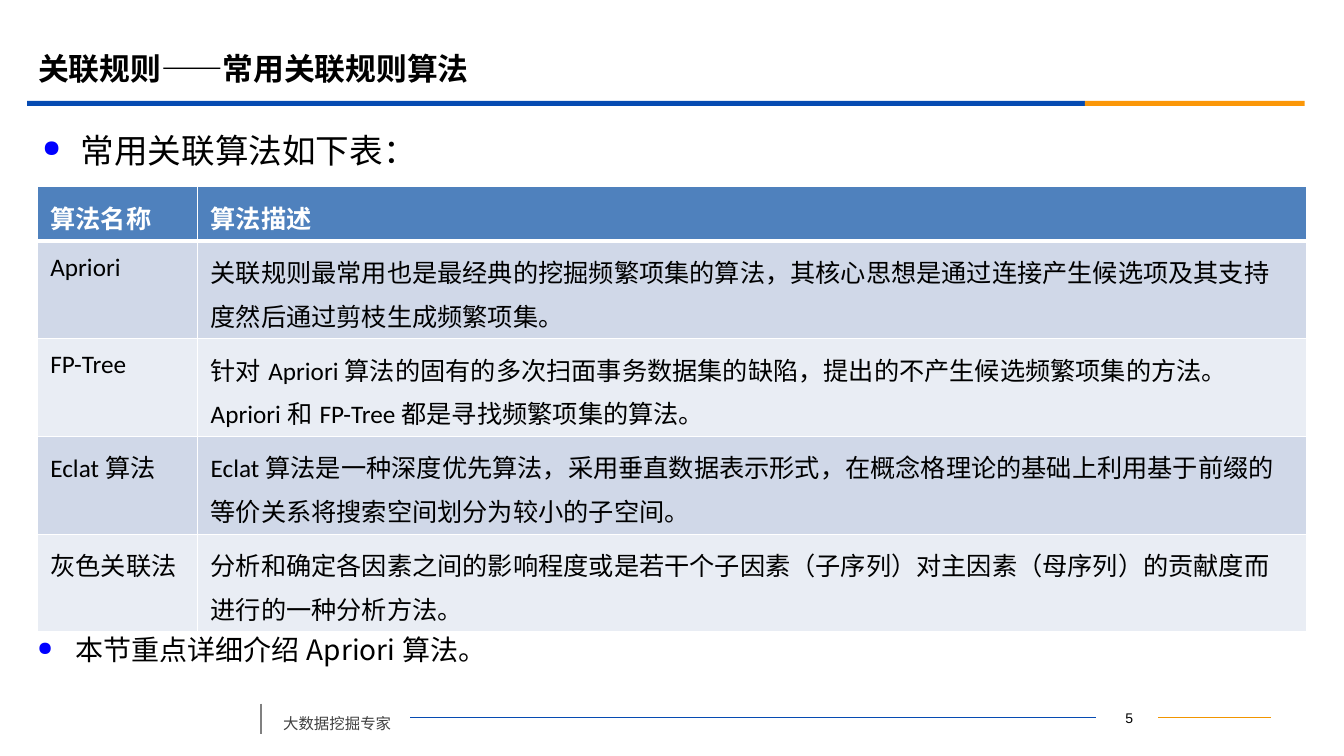
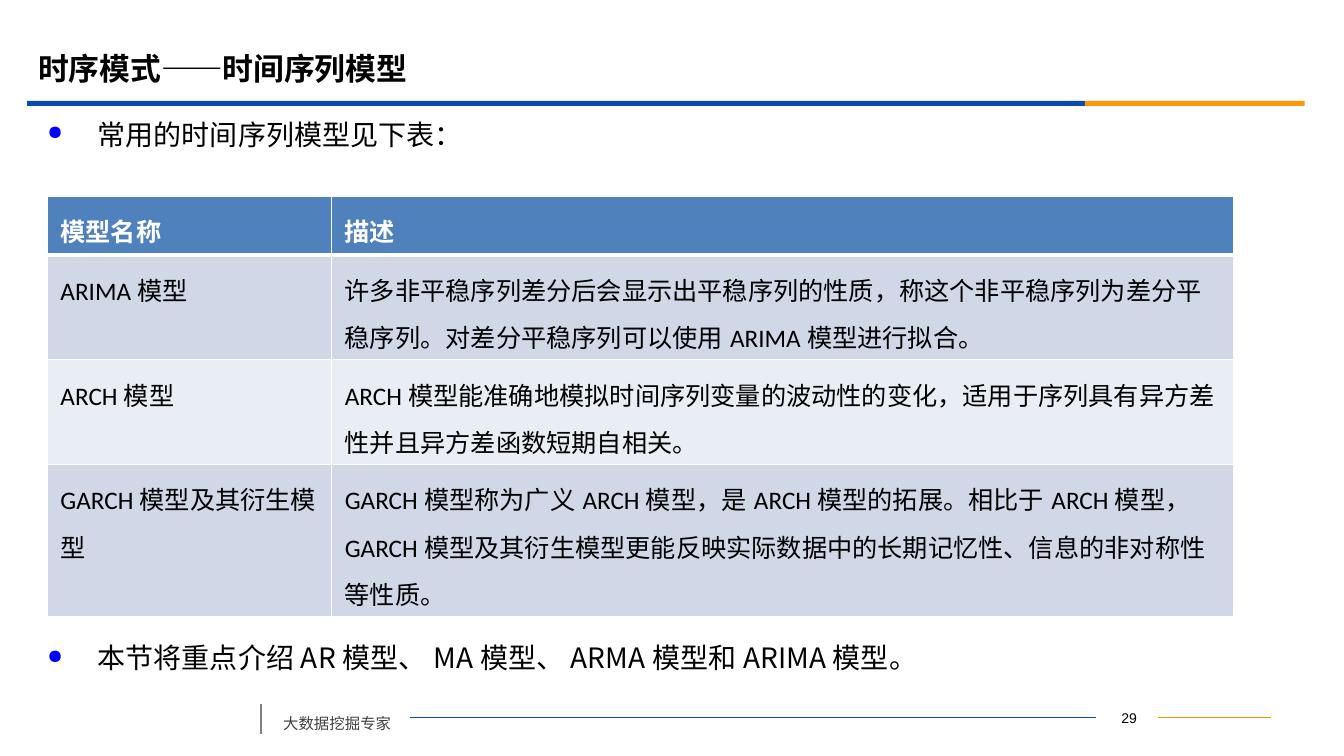
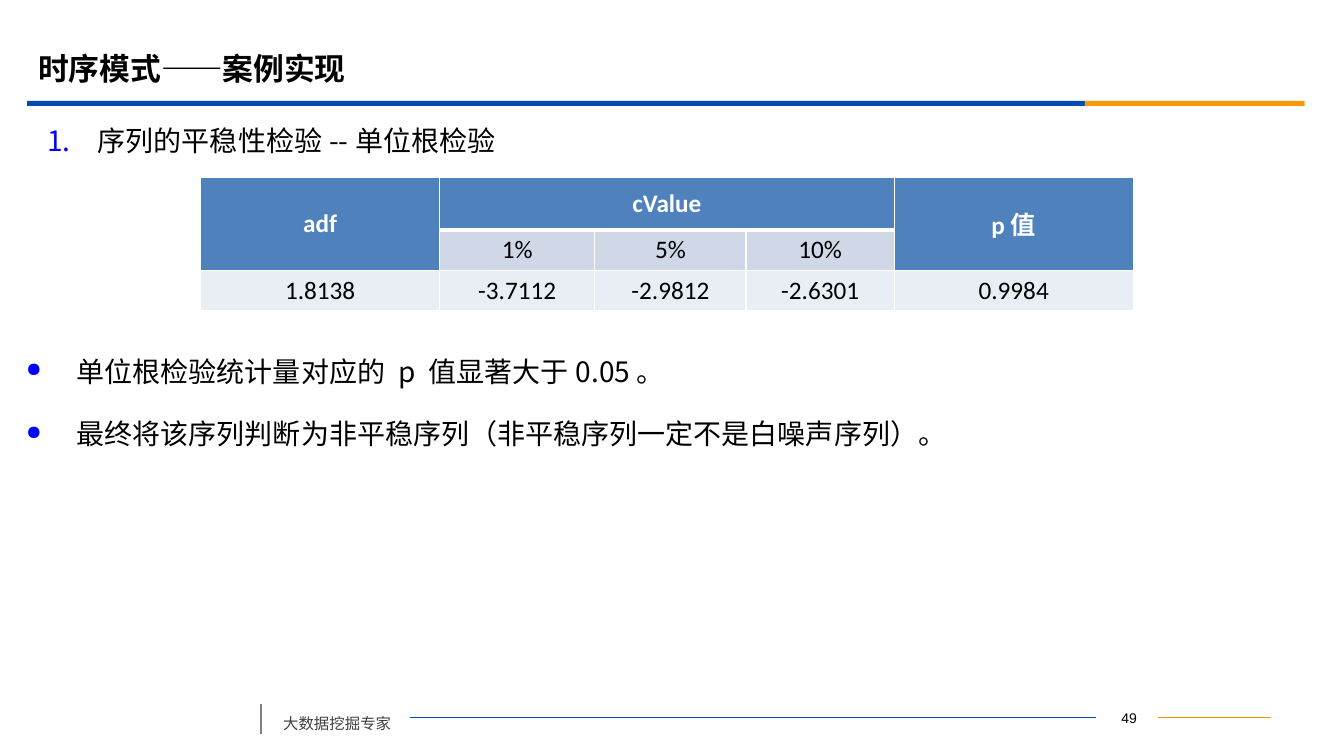
from dataclasses import dataclass

from lxml.etree import SubElement
from pptx import Presentation
from pptx.dml.color import RGBColor
from pptx.enum.shapes import MSO_CONNECTOR, MSO_SHAPE
from pptx.enum.text import MSO_ANCHOR, MSO_AUTO_SIZE, PP_ALIGN
from pptx.oxml.ns import qn
from pptx.util import Inches, Pt


@dataclass(frozen=True)
class Theme:
    """Colours, fonts and type sizes of the whole presentation."""
    black: str = "000000"
    white: str = "FFFFFF"
    blue: str = "064BB2"
    band_orange: str = "FB9708"
    line_orange: str = "F19500"
    grey: str = "808080"
    footer_text: str = "404040"
    bullet: str = "0000FF"
    header: str = "4F81BD"
    row_fills: tuple = ("E9EDF4", "D0D8E8")
    text_font: str = "Noto Sans CJK SC"
    table_font: str = "Calibri"
    number_font: str = "Arial"
    title_size: int = 22
    lead_size: int = 24
    body_size: int = 20
    table_size: int = 18
    footer_size: int = 11
    number_size: int = 10
    bullet_percent: int = 70


THEME = Theme()


# Text
def style_paragraph(paragraph, size, color=THEME.black, font=THEME.text_font,
                    bold=False, line_spacing=None, space_before=0):
    paragraph.font.size = Pt(size)
    paragraph.font.name = font
    paragraph.font.bold = bold
    paragraph.font.color.rgb = RGBColor.from_string(color)
    defaults = paragraph._p.pPr.find(qn("a:defRPr"))
    SubElement(defaults, qn("a:ea"), typeface=THEME.text_font)
    if line_spacing:
        paragraph.line_spacing = line_spacing
    if space_before:
        paragraph.space_before = Pt(space_before)


def add_bullet(paragraph, indent, numbered):
    properties = paragraph._p.get_or_add_pPr()
    properties.set("marL", str(Inches(indent)))
    properties.set("indent", str(-Inches(indent)))
    color = SubElement(properties, qn("a:buClr"))
    SubElement(color, qn("a:srgbClr"), val=THEME.bullet)
    if numbered:
        SubElement(properties, qn("a:buAutoNum"), type="arabicPeriod")
    else:
        SubElement(properties, qn("a:buSzPct"), val=str(THEME.bullet_percent * 1000))
        SubElement(properties, qn("a:buChar"), char="●")


def add_text_box(slide, left, top, width, height, margins=(0.1, 0.05)):
    box = slide.shapes.add_textbox(Inches(left), Inches(top), Inches(width), Inches(height))
    frame = box.text_frame
    frame.word_wrap = True
    frame.margin_left = frame.margin_right = Inches(margins[0])
    frame.margin_top = frame.margin_bottom = Inches(margins[1])
    return frame


def add_bullets(slide, left, top, width, height, lines, size=THEME.body_size,
                indent=0.5, line_spacing=1.5, numbered=False):
    frame = add_text_box(slide, left, top, width, height, margins=(0, 0))
    frame.auto_size = MSO_AUTO_SIZE.SHAPE_TO_FIT_TEXT
    for index, line in enumerate(lines):
        paragraph = frame.add_paragraph() if index else frame.paragraphs[0]
        paragraph.text = line
        add_bullet(paragraph, indent, numbered)
        style_paragraph(paragraph, size, line_spacing=line_spacing, space_before=0.2 * size)


# Lines and bands
def add_line(slide, start, end, color, width):
    line = slide.shapes.add_connector(MSO_CONNECTOR.STRAIGHT, *map(Inches, start + end))
    line.line.color.rgb = RGBColor.from_string(color)
    line.line.width = Pt(width)
    SubElement(line._element.spPr, qn("a:effectLst"))


def add_band(slide, left, width, color):
    band = slide.shapes.add_shape(
        MSO_SHAPE.RECTANGLE, Inches(left), Inches(1), Inches(width), Inches(0.05))
    band.shadow.inherit = False
    band.fill.solid()
    band.fill.fore_color.rgb = RGBColor.from_string(color)
    band.line.fill.background()


# Table
def set_borders(cell, top, bottom):
    properties = cell._tc.get_or_add_tcPr()
    for index, (side, width) in enumerate((("L", 1), ("R", 1), ("T", top), ("B", bottom))):
        border = SubElement(properties, qn("a:ln" + side), w=str(Pt(width)))
        fill = SubElement(border, qn("a:solidFill"))
        SubElement(fill, qn("a:srgbClr"), val=THEME.white)
        properties.insert(index, border)


def style_cell(cell, text, is_header, fill, line_spacing, centred):
    cell.fill.solid()
    cell.fill.fore_color.rgb = RGBColor.from_string(fill)
    cell.margin_left = cell.margin_right = Inches(0.13)
    cell.margin_top = cell.margin_bottom = Inches(0.05)
    paragraph = cell.text_frame.paragraphs[0]
    paragraph.text = text
    if centred:
        cell.vertical_anchor = MSO_ANCHOR.MIDDLE
        paragraph.alignment = PP_ALIGN.CENTER
    style_paragraph(paragraph, THEME.table_size, THEME.white if is_header else THEME.black,
                    THEME.table_font, is_header, line_spacing, 0.2 * THEME.table_size)


def add_data_table(slide, left, top, widths, heights, rows,
                   line_spacing=None, centred=False, merges=()):
    table = slide.shapes.add_table(
        len(rows), len(widths), Inches(left), Inches(top),
        Inches(sum(widths)), Inches(sum(heights))).table
    table.first_row = table.horz_banding = False
    for column, width in zip(table.columns, widths):
        column.width = Inches(width)
    for row, height in zip(table.rows, heights):
        row.height = Inches(height)
    for first, last in merges:
        table.cell(*first).merge(table.cell(*last))
    # Columns whose header runs into the row below have no thick rule
    tall_columns = {first[1] for first, last in merges if last[0] > first[0]}
    for row_index, texts in enumerate(rows):
        for column_index, text in enumerate(texts):
            cell = table.cell(row_index, column_index)
            tall = column_index in tall_columns
            is_header = row_index == 0 or (tall and row_index == 1)
            fill = THEME.header if is_header else THEME.row_fills[row_index % 2]
            style_cell(cell, text, is_header, fill, line_spacing, centred)
            set_borders(cell, top=3 if row_index == 1 and not tall else 1,
                        bottom=3 if row_index == 0 and not tall else 1)


# Frame shared by all slides
def add_footer(slide, number):
    number_frame = add_text_box(slide, 10.87, 6.99, 0.62, 0.25)
    paragraph = number_frame.paragraphs[0]
    paragraph.text = f" {number}"
    paragraph.alignment = PP_ALIGN.CENTER
    style_paragraph(paragraph, THEME.number_size, font=THEME.number_font)

    add_line(slide, (11.49, 7.12), (12.61, 7.12), THEME.line_orange, 0.75)
    add_line(slide, (4.07, 7.12), (10.87, 7.12), THEME.blue, 0.75)
    add_line(slide, (2.59, 6.98), (2.59, 7.28), THEME.grey, 1.25)

    footer_frame = add_text_box(slide, 2.71, 6.94, 1.36, 0.38)
    footer_frame.auto_size = MSO_AUTO_SIZE.SHAPE_TO_FIT_TEXT
    paragraph = footer_frame.paragraphs[0]
    paragraph.text = "大数据挖掘专家"
    style_paragraph(paragraph, THEME.footer_size, THEME.footer_text,
                    line_spacing=1.5, space_before=6)


def add_framed_slide(presentation, title, number):
    slide = presentation.slides.add_slide(presentation.slide_layouts[6])
    add_band(slide, 0.27, 10.49, THEME.blue)
    add_band(slide, 10.76, 2.18, THEME.band_orange)
    add_footer(slide, number)
    title_frame = add_text_box(slide, 0.28, 0.39, 12, 0.58)
    title_frame.vertical_anchor = MSO_ANCHOR.MIDDLE
    paragraph = title_frame.paragraphs[0]
    paragraph.text = title
    style_paragraph(paragraph, THEME.title_size, bold=True)
    return slide


# Slides
def add_association_slide(presentation):
    slide = add_framed_slide(presentation, "关联规则——常用关联规则算法", 5)
    add_bullets(slide, 0.42, 1.09, 12.29, 0.6, ["常用关联算法如下表："],
                size=THEME.lead_size, indent=0.38)
    rows = [
        ("算法名称", "算法描述"),
        ("Apriori", "关联规则最常用也是最经典的挖掘频繁项集的算法，其核心思想是通过连接产生"
                    "候选项及其支持度然后通过剪枝生成频繁项集。"),
        ("FP-Tree", "针对Apriori算法的固有的多次扫面事务数据集的缺陷，提出的不产生候选频繁"
                    "项集的方法。Apriori和FP-Tree都是寻找频繁项集的算法。"),
        ("Eclat算法", "Eclat算法是一种深度优先算法，采用垂直数据表示形式，在概念格理论的基础上"
                      "利用基于前缀的等价关系将搜索空间划分为较小的子空间。"),
        ("灰色关联法", "分析和确定各因素之间的影响程度或是若干个子因素（子序列）对主因素"
                       "（母序列）的贡献度而进行的一种分析方法。"),
    ]
    add_data_table(slide, 0.37, 1.85, (1.59, 11), (0.54,) + (0.97,) * 4,
                   rows, line_spacing=1.2)
    add_bullets(slide, 0.37, 6.11, 12.29, 0.5, ["本节重点详细介绍Apriori算法。"], indent=0.38)


def add_model_slide(presentation):
    slide = add_framed_slide(presentation, "时序模式——时间序列模型", 29)
    add_bullets(slide, 0.47, 1, 12.29, 0.5, ["常用的时间序列模型见下表："])
    rows = [
        ("模型名称", "描述"),
        ("ARIMA模型", "许多非平稳序列差分后会显示出平稳序列的性质，称这个非平稳序列为差分平稳序列。"
                      "对差分平稳序列可以使用ARIMA模型进行拟合。"),
        ("ARCH模型", "ARCH模型能准确地模拟时间序列变量的波动性的变化，适用于序列具有异方差性"
                     "并且异方差函数短期自相关。"),
        ("GARCH模型及其衍生模型", "GARCH模型称为广义ARCH模型，是ARCH模型的拓展。相比于ARCH模型，"
                                  "GARCH模型及其衍生模型更能反映实际数据中的长期记忆性、"
                                  "信息的非对称性等性质。"),
    ]
    add_data_table(slide, 0.47, 1.95, (2.82, 8.95), (0.58, 1.04, 1.04, 1.51),
                   rows, line_spacing=1.3)
    add_bullets(slide, 0.47, 6.19, 12.29, 0.5,
                ["本节将重点介绍AR模型、MA模型、ARMA模型和ARIMA模型。"])


def add_case_slide(presentation):
    slide = add_framed_slide(presentation, "时序模式——案例实现", 49)
    add_bullets(slide, 0.47, 1.09, 12.71, 0.47, ["序列的平稳性检验--单位根检验"],
                line_spacing=1.4, numbered=True)
    add_bullets(slide, 0.26, 3.28, 13.12, 1.2,
                ["单位根检验统计量对应的 p 值显著大于0.05。",
                 "最终将该序列判断为非平稳序列（非平稳序列一定不是白噪声序列）。"],
                line_spacing=1.7)
    rows = [
        ("adf", "cValue", "", "", "p值"),
        ("", "1%", "5%", "10%", ""),
        ("1.8138", "-3.7112", "-2.9812", "-2.6301", "0.9984"),
    ]
    add_data_table(slide, 1.99, 1.76, (2.37, 1.54, 1.5, 1.47, 2.37), (0.52, 0.4, 0.4),
                   rows, centred=True,
                   merges=(((0, 0), (1, 0)), ((0, 1), (0, 3)), ((0, 4), (1, 4))))


def main():
    presentation = Presentation()
    presentation.slide_width = Inches(13.33)
    presentation.slide_height = Inches(7.5)
    add_association_slide(presentation)
    add_model_slide(presentation)
    add_case_slide(presentation)
    presentation.save("out.pptx")


if __name__ == "__main__":
    main()
